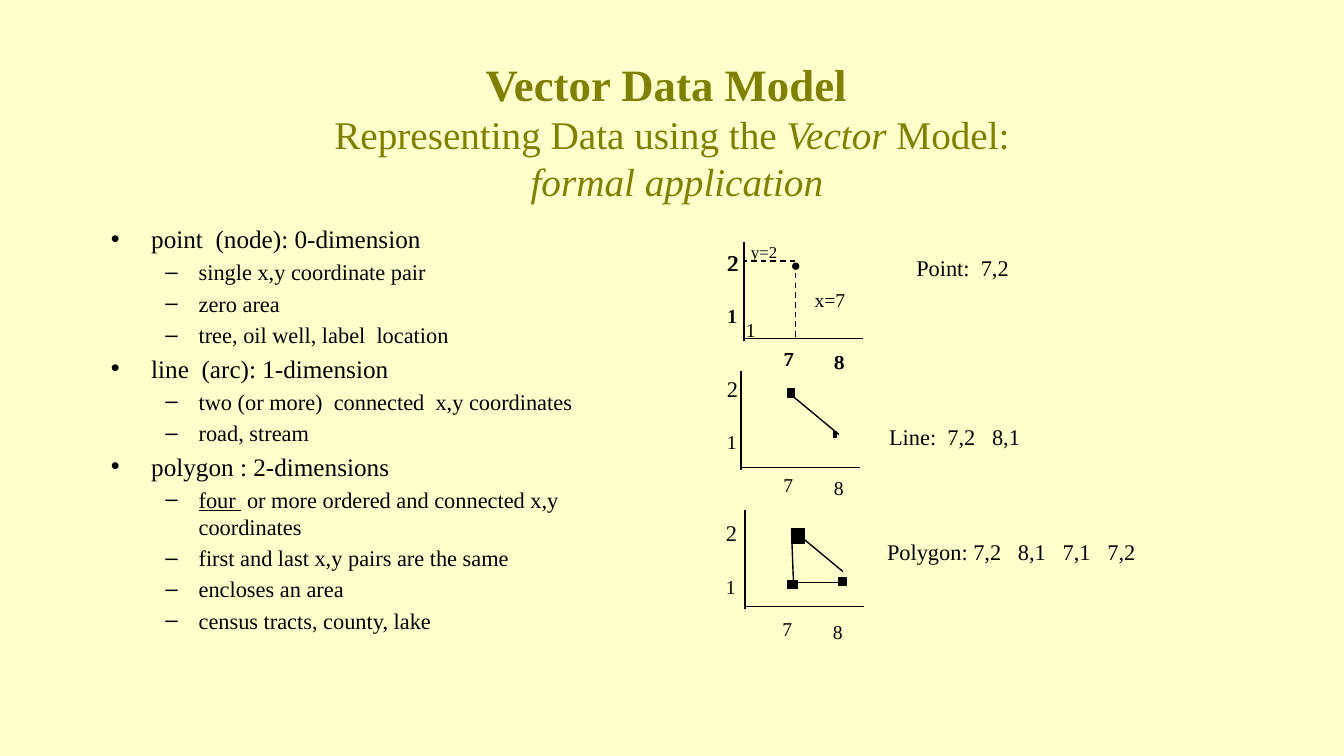
from lxml import etree
from pptx import Presentation
from pptx.dml.color import RGBColor
from pptx.enum.dml import MSO_LINE
from pptx.enum.shapes import MSO_CONNECTOR, MSO_SHAPE
from pptx.enum.text import MSO_ANCHOR, MSO_AUTO_SIZE, PP_ALIGN
from pptx.oxml.ns import qn
from pptx.util import Pt

STRAIGHT = MSO_CONNECTOR.STRAIGHT
RECTANGLE = MSO_SHAPE.RECTANGLE
DASH = MSO_LINE.DASH
MIDDLE = MSO_ANCHOR.MIDDLE
NO_AUTOFIT = MSO_AUTO_SIZE.NONE
GROW = MSO_AUTO_SIZE.SHAPE_TO_FIT_TEXT
CENTER = PP_ALIGN.CENTER
LEFT = PP_ALIGN.LEFT

EMU_PER_PX = 9144  # 100 px to the inch
FONT = "Times New Roman"
COLORS = {"background": "FFFFCC", "title": "808000", "ink": "000000"}

# Each title line is a list of (text, size, bold, italic)
TITLE_LINES = [
    [("Vector Data Model ", 32, True, False)],
    [("Representing Data using the ", 28, False, False),
     ("Vector", 28, False, True),
     (" Model:", 28, False, False)],
    [(" ", 28, False, False), ("formal application", 28, False, True)],
]
OUTLINE = [
    ("point  (node): 0-dimension",
     ["single x,y coordinate pair", "zero area", "tree, oil well, label  location"]),
    ("line  (arc): 1-dimension",
     ["two (or more)  connected  x,y coordinates", "road, stream"]),
    ("polygon : 2-dimensions",
     ["four  or more ordered and connected x,y coordinates",
      "first and last x,y pairs are the same",
      "encloses an area",
      "census tracts, county, lake"]),
]
UNDERLINED = "four "
# Level: (size, left margin, first-line indent)
LEVELS = [(18, 40, -40), (16, 87, -33)]
# Tick label: (text, x offset, y offset, width, height, size)
TICKS = [("1", 0, 55, 35, 36, 14), ("2", 0, 0, 36, 39, 16),
         ("7", 56, 97, 35, 36, 14), ("8", 106, 100, 35, 36, 14)]


def px(value):
    return value * EMU_PER_PX


def rgb(name):
    return RGBColor.from_string(COLORS[name])


def style_font(font, size, color="ink"):
    font.name = FONT
    font.size = Pt(size)
    font.color.rgb = rgb(color)


def place(shape, left, top, width, height):
    shape.left, shape.top = px(left), px(top)
    shape.width, shape.height = px(width), px(height)


def set_margins(frame, side, end):
    frame.margin_left = frame.margin_right = px(side)
    frame.margin_top = frame.margin_bottom = px(end)


def add_title(slide):
    title = slide.shapes.title
    place(title, 100, 67, 1133, 125)
    frame = title.text_frame
    frame.auto_size = NO_AUTOFIT
    frame.vertical_anchor = MIDDLE
    set_margins(frame, 10, 5)
    para = frame.paragraphs[0]
    para.alignment = CENTER
    for index, line in enumerate(TITLE_LINES):
        if index:
            para.add_line_break()
        for text, size, bold, italic in line:
            span = para.add_run()
            span.text = text
            style_font(span.font, size, "title")
            span.font.bold, span.font.italic = bold, italic


def add_outline(slide):
    body = slide.placeholders[1]
    place(body, 100, 217, 556, 450)
    frame = body.text_frame
    frame.auto_size = NO_AUTOFIT
    set_margins(frame, 10, 5)
    items = []
    for heading, details in OUTLINE:
        items.append((0, heading))
        items.extend((1, detail) for detail in details)
    for index, (level, text) in enumerate(items):
        para = frame.paragraphs[0] if index == 0 else frame.add_paragraph()
        size, margin, indent = LEVELS[level]
        para.level = level
        para.alignment = LEFT
        if index == 0:
            para.space_before = Pt(0)
        properties = para._p.get_or_add_pPr()
        properties.set("marL", str(px(margin)))
        properties.set("indent", str(px(indent)))
        pieces = [text]
        if text.startswith(UNDERLINED):
            pieces = [UNDERLINED, text[len(UNDERLINED):]]
        for piece in pieces:
            span = para.add_run()
            span.text = piece
            style_font(span.font, size)
            if piece == UNDERLINED:
                span.font.underline = True


def add_label(slide, text, left, top, width, height, size, side=10, end=5):
    box = slide.shapes.add_textbox(px(left), px(top), px(width), px(height))
    frame = box.text_frame
    frame.text = text
    frame.word_wrap = False
    frame.auto_size = GROW
    set_margins(frame, side, end)
    style_font(frame.paragraphs[0].runs[0].font, size)


def add_line(slide, x1, y1, x2, y2, dashed=False):
    line = slide.shapes.add_connector(STRAIGHT, px(x1), px(y1), px(x2), px(y2))
    line.line.color.rgb = rgb("ink")
    line.line.width = Pt(1)
    if dashed:
        line.line.dash_style = DASH
    etree.SubElement(line._element.spPr, qn("a:effectLst"))


def add_node(slide, left, top, width, height):
    node = slide.shapes.add_shape(RECTANGLE, px(left), px(top), px(width), px(height))
    node.shadow.inherit = False
    node.fill.solid()
    node.fill.fore_color.rgb = rgb("ink")
    node.line.color.rgb = rgb("ink")
    node.line.width = Pt(1)


def add_axes(slide, left, top):
    add_line(slide, left, top, left, top + 98)
    add_line(slide, left, top + 96, left + 118, top + 96)


def add_ticks(slide, left, top):
    for text, dx, dy, width, height, size in TICKS:
        add_label(slide, text, left + dx, top + dy, width, height, size, 12, 6)


def add_point_graph(slide):
    add_axes(slide, 738, 240)
    # Two overlapping sets give the heavier tick labels
    for left in (710, 709):
        add_ticks(slide, left, 241)
    add_label(slide, "1", 730, 311, 30, 34, 14)
    add_label(slide, ".", 772, 201, 36, 84, 44)
    add_label(slide, "x=7", 798, 281, 51, 57, 14)
    add_label(slide, "y=2", 735, 235, 47, 30, 12)
    add_line(slide, 789, 261, 789, 338, dashed=True)
    add_line(slide, 789, 259, 738, 259, dashed=True)
    add_label(slide, "Point:  7,2", 899, 247, 113, 37, 16)


def add_line_graph(slide):
    add_axes(slide, 735, 368)
    add_ticks(slide, 709, 366)
    add_node(slide, 781, 386, 7, 8)
    add_node(slide, 827, 428, 3, 6)
    add_line(slide, 785, 392, 832, 431)
    add_label(slide, "Line:  7,2   8,1", 872, 415, 152, 37, 16)


def add_polygon_graph(slide):
    add_axes(slide, 739, 506)
    add_ticks(slide, 708, 509)
    for node in ((785, 524, 13, 15), (832, 573, 7, 8), (781, 576, 10, 8)):
        add_node(slide, *node)
    for edge in ((789, 528, 836, 567), (831, 578, 781, 578), (787, 578, 785, 526)):
        add_line(slide, *edge)
    add_label(slide, "Polygon: 7,2   8,1   7,1   7,2", 870, 529, 270, 37, 16)


def main():
    deck = Presentation()
    deck.slide_width, deck.slide_height = px(1333), px(750)
    slide = deck.slides.add_slide(deck.slide_layouts[1])
    slide.background.fill.solid()
    slide.background.fill.fore_color.rgb = rgb("background")
    add_title(slide)
    add_outline(slide)
    add_point_graph(slide)
    add_line_graph(slide)
    add_polygon_graph(slide)
    deck.save("out.pptx")


if __name__ == "__main__":
    main()
